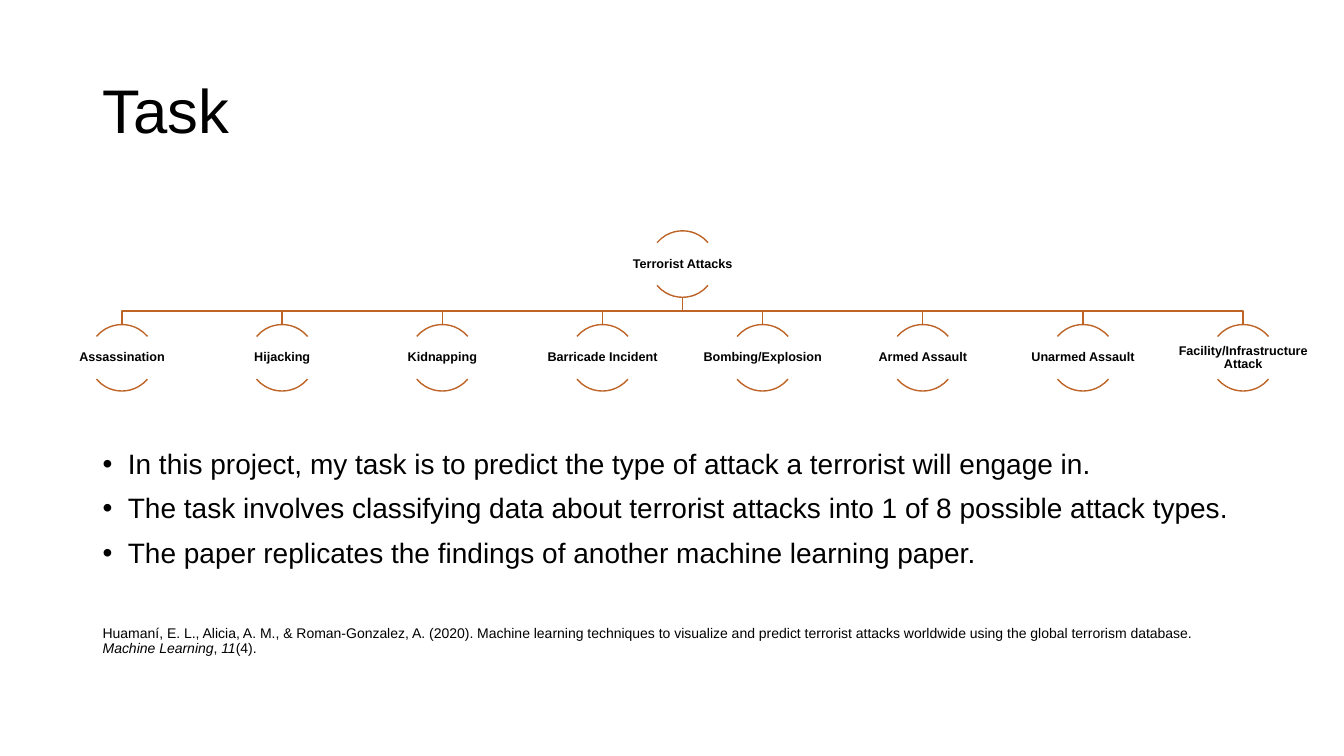
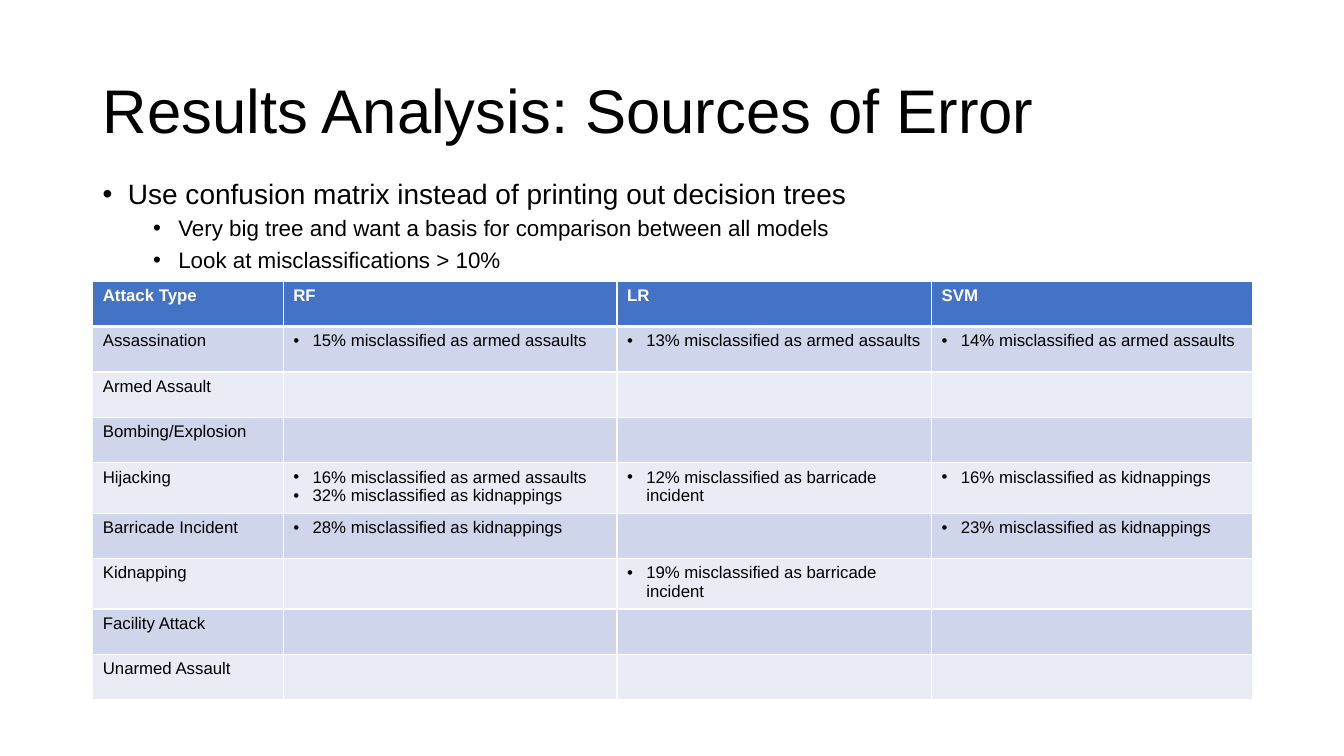
import pptx
import pptx.util
import pptx.dml.color
import pptx.enum.shapes
import pptx.enum.text
import pptx.oxml
import pptx.oxml.ns

Inches, Pt = pptx.util.Inches, pptx.util.Pt
RGB = pptx.dml.color.RGBColor.from_string
ANCHOR, ALIGN = pptx.enum.text.MSO_ANCHOR, pptx.enum.text.PP_ALIGN

THEME = dict(
    font="Arial", text="000000", white="FFFFFF", line="BE6427",
    header="4472C4", bands=("CFD5EA", "E9EBF5"),
    title=44, body=20, sub=16, cell=12, cite=10, node=9,
)
LEFT, WIDTH = 0.92, 11.5  # content column shared by both slides

prs = pptx.Presentation()
prs.slide_width, prs.slide_height = Inches(13.33), Inches(7.5)


def add_par(tf, runs, size, color="text", bold=False, before=0, spacing=0.9, bullet=None):
    """Add a paragraph; runs are (text, italic) pairs, bullet is (indent, hanging)."""
    p = tf.paragraphs[0]
    if p.runs:
        p = tf.add_paragraph()
    p.line_spacing, p.space_before = spacing, Pt(before)
    for text, italic in runs:
        r = p.add_run()
        r.text = text
        r.font.name, r.font.size = THEME["font"], Pt(THEME[size])
        r.font.bold, r.font.italic = bold, italic
        r.font.color.rgb = RGB(THEME[color])
    if bullet:
        pPr = p._p.get_or_add_pPr()
        pPr.set("marL", str(Inches(bullet[0])))
        pPr.set("indent", str(-Inches(bullet[1])))
        ns = pptx.oxml.ns.nsdecls("a")
        pPr.append(pptx.oxml.parse_xml(f'<a:buFont {ns} typeface="Arial"/>'))
        pPr.append(pptx.oxml.parse_xml(f'<a:buChar {ns} char="\u2022"/>'))
    return p


def add_box(s, x, y, w, h, anchor=ANCHOR.TOP):
    tf = s.shapes.add_textbox(Inches(x), Inches(y), Inches(w), Inches(h)).text_frame
    tf.word_wrap, tf.vertical_anchor = True, anchor
    return tf


# Both slides with their titles
slides = []
for title in ("Task", "Results Analysis: Sources of Error"):
    s = prs.slides.add_slide(prs.slide_layouts[6])
    add_par(add_box(s, LEFT, 0.4, WIDTH, 1.45, ANCHOR.MIDDLE), [(title, False)], "title")
    slides.append(s)
task, results = slides

# Task: bullets and citation
tf = add_box(task, LEFT, 4.42, WIDTH, 2.34)
for text in (
    "In this project, my task is to predict the type of attack a terrorist will engage in. ",
    "The task involves classifying data about terrorist attacks into 1 of 8 possible attack types. ",
    "The paper replicates the findings of another machine learning paper.",
):
    add_par(tf, [(text, False)], "body", before=10, bullet=(0.25, 0.25))
add_par(tf, [
    ("Huamaní, E. L., Alicia, A. M., & Roman-Gonzalez, A. (2020). Machine learning techniques "
     "to visualize and predict terrorist attacks worldwide using the global terrorism database. ", False),
    ("Machine Learning", True), (", ", False), ("11", True), ("(4). ", False),
], "cite", before=41)

# Task: tree geometry, one root centred over evenly spaced leaves
attacks = ["Assassination", "Hijacking", "Kidnapping", "Barricade Incident", "Bombing/Explosion",
           "Armed Assault", "Unarmed Assault", "Facility/Infrastructure Attack"]
first, last = 1.21, 12.33
pitch = (last - first) / (len(attacks) - 1)
root_x, root_y, leaf_y = (first + last) / 2, 2.29, 3.22
circle, label_w, label_h = 0.66, 1.31, 0.42
root_bottom = root_y + circle
bus_y = (root_bottom + leaf_y) / 2
leaves = [(name, first + i * pitch, leaf_y) for i, name in enumerate(attacks)]

# Task: branches
for name, x, y in leaves:
    fb = task.shapes.build_freeform(Inches(root_x), Inches(root_bottom))
    fb.add_line_segments([(Inches(px), Inches(py)) for px, py in
                          ((root_x, bus_y), (x, bus_y), (x, y))], close=False)
    branch = fb.convert_to_shape()
    branch.shadow.inherit = False
    branch.fill.background()
    branch.line.color.rgb, branch.line.width = RGB(THEME["line"]), Pt(1)

# Task: nodes, each a pair of arcs around a label
for name, x, y in [("Terrorist Attacks", root_x, root_y)] + leaves:
    for start, end in ((-140, -40), (40, 140)):
        arc = task.shapes.add_shape(pptx.enum.shapes.MSO_SHAPE.ARC, Inches(x - circle / 2),
                                    Inches(y), Inches(circle), Inches(circle))
        # arc angles count 60000 to the degree, adjustments 100000 to the unit
        arc.adjustments[0], arc.adjustments[1] = start % 360 * 0.6, end % 360 * 0.6
        arc.shadow.inherit = False
        arc.fill.background()
        arc.line.color.rgb, arc.line.width = RGB(THEME["line"]), Pt(1)
    tf = add_box(task, x - label_w / 2, y + (circle - label_h) / 2, label_w, label_h, ANCHOR.MIDDLE)
    tf.margin_left = tf.margin_right = tf.margin_top = tf.margin_bottom = Inches(0.01)
    add_par(tf, [(name, False)], "node", bold=True).alignment = ALIGN.CENTER

# Results: bullets
tf = add_box(results, LEFT, 1.74, 10.96, 1.05)
for text, size, before, indent in (
    ("Use confusion matrix instead of printing out decision trees", "body", 10, 0.25),
    ("Very big tree and want a basis for comparison between all models", "sub", 5, 0.75),
    ("Look at misclassifications > 10%", "sub", 5, 0.75),
):
    add_par(tf, [(text, False)], size, before=before, bullet=(indent, 0.25))

# Results: table, each cell a list of (percent, class) errors
models = ["RF", "LR", "SVM"]
armed, kidnap, barricade = "armed assaults", "kidnappings", "barricade incident"
errors = {
    "Assassination": ([(15, armed)], [(13, armed)], [(14, armed)]),
    "Armed Assault": ([], [], []),
    "Bombing/Explosion": ([], [], []),
    "Hijacking": ([(16, armed), (32, kidnap)], [(12, barricade)], [(16, kidnap)]),
    "Barricade Incident": ([(28, kidnap)], [], [(23, kidnap)]),
    "Kidnapping": ([], [(19, barricade)], []),
    "Facility Attack": ([], [], []),
    "Unarmed Assault": ([], [], []),
}
col_widths, row_h = (1.89, 3.31, 3.12, 3.18), 0.45
n_rows = len(errors) + 1
table = results.shapes.add_table(n_rows, len(col_widths), Inches(LEFT), Inches(2.79),
                                 Inches(WIDTH), Inches(row_h * n_rows)).table
table.first_row = table.horz_banding = False
for col, w in zip(table.columns, col_widths):
    col.width = Inches(w)
for row in table.rows:
    row.height = Inches(row_h)

# Results: table text
for c, text in enumerate(["Attack Type"] + models):
    add_par(table.cell(0, c).text_frame, [(text, False)], "cell", "white", True, spacing=1.0)
for i, (attack, by_model) in enumerate(errors.items(), 1):
    add_par(table.cell(i, 0).text_frame, [(attack, False)], "cell", spacing=1.0)
    for c, found in enumerate(by_model, 1):
        for percent, label in found:
            add_par(table.cell(i, c).text_frame, [(f"{percent}% misclassified as {label}", False)],
                    "cell", spacing=1.0, bullet=(0.19, 0.19))

# Results: table borders and fills, with a thicker rule under the header
for i in range(n_rows):
    for c in range(len(col_widths)):
        cell = table.cell(i, c)
        tcPr = cell._tc.get_or_add_tcPr()
        for side in "LRTB":
            thick = (i, side) in ((0, "B"), (1, "T"))
            tcPr.append(pptx.oxml.parse_xml(
                f'<a:ln{side} {pptx.oxml.ns.nsdecls("a")} w="{Pt(3 if thick else 1)}"><a:solidFill>'
                f'<a:srgbClr val="{THEME["white"]}"/></a:solidFill></a:ln{side}>'))
        cell.fill.solid()
        cell.fill.fore_color.rgb = RGB(THEME["bands"][(i - 1) % 2] if i else THEME["header"])

prs.save("out.pptx")
